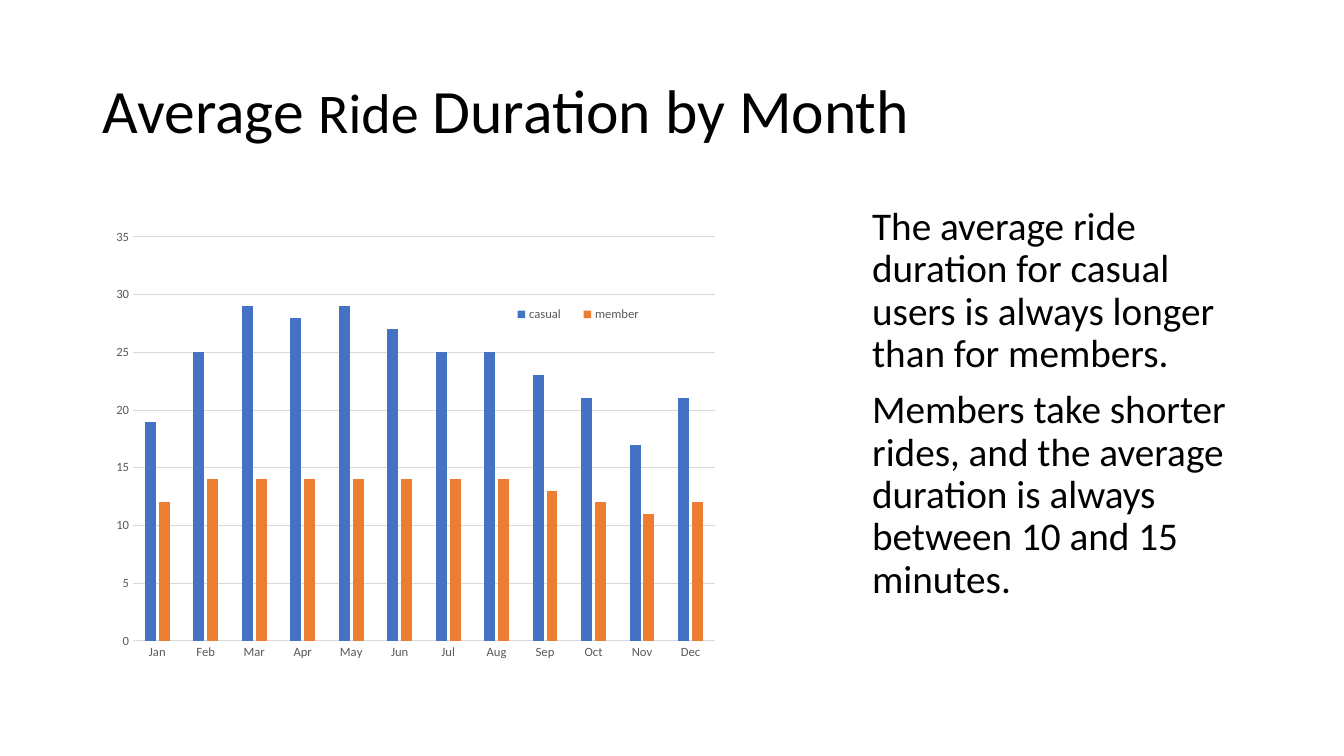
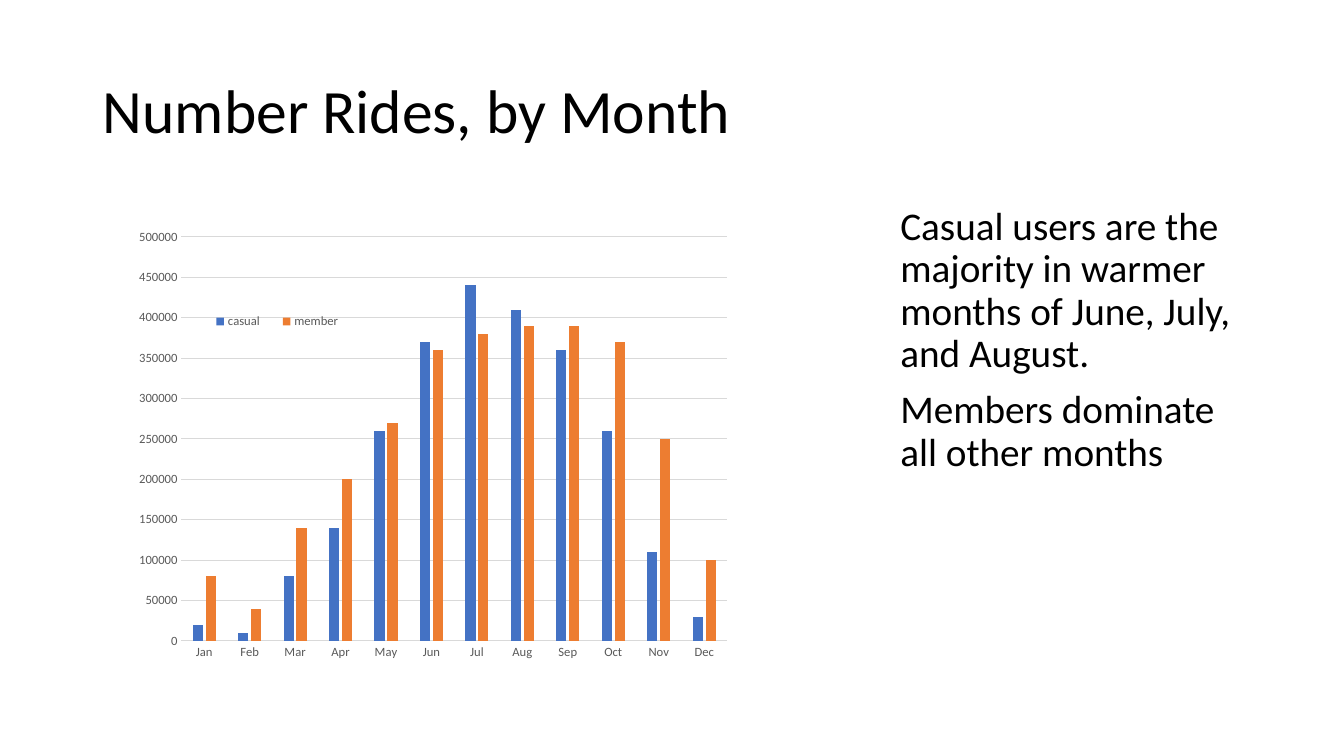
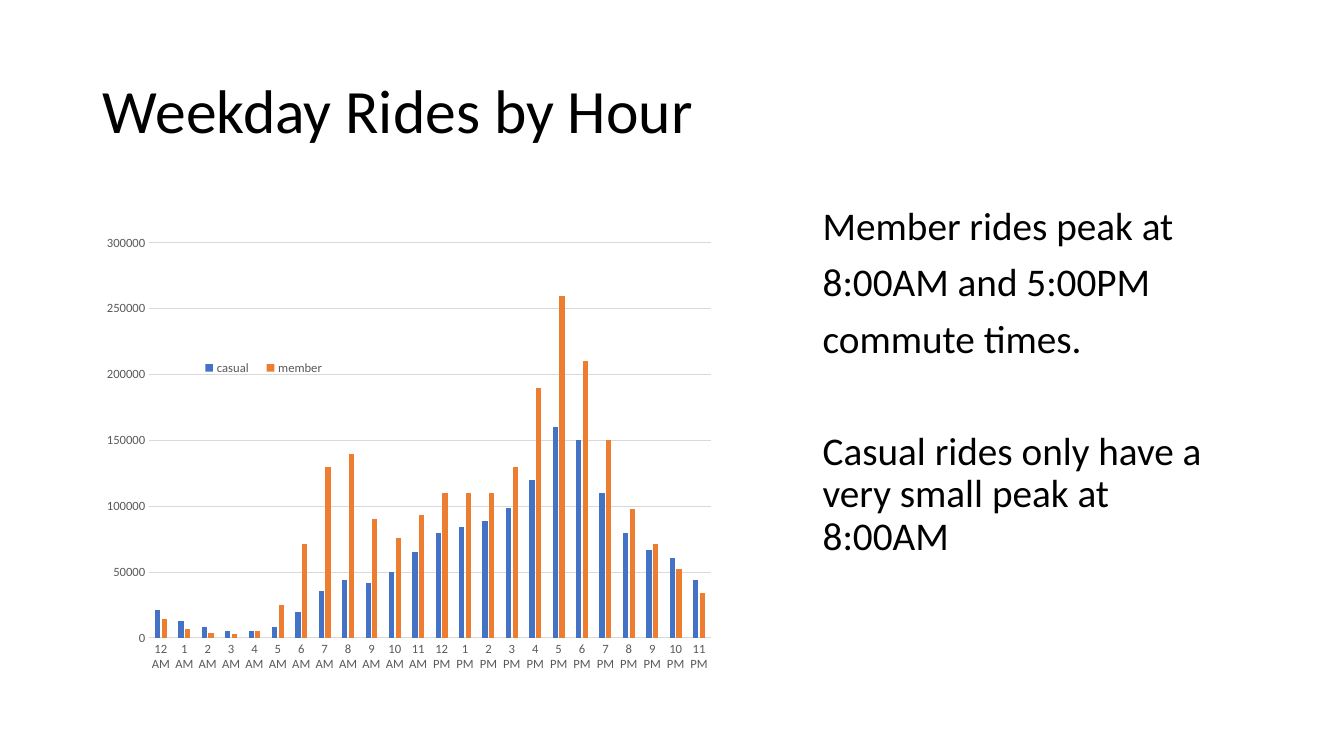
from lxml import etree
from pptx import Presentation
from pptx.chart.data import CategoryChartData
from pptx.dml.color import RGBColor
from pptx.enum.chart import XL_CHART_TYPE, XL_LEGEND_POSITION, XL_TICK_MARK
from pptx.enum.text import MSO_ANCHOR, MSO_AUTO_SIZE, PP_ALIGN
from pptx.oxml.ns import qn
from pptx.util import Inches, Pt

CLUSTERED = XL_CHART_TYPE.COLUMN_CLUSTERED
LEGEND_RIGHT = XL_LEGEND_POSITION.RIGHT
NO_TICK = XL_TICK_MARK.NONE
LEFT = PP_ALIGN.LEFT
MIDDLE = MSO_ANCHOR.MIDDLE
NO_AUTOFIT = MSO_AUTO_SIZE.NONE

THEME = {
    "font": "Calibri",
    "text": RGBColor.from_string("000000"),
    "label": RGBColor.from_string("595959"),
    "line": RGBColor.from_string("D9D9D9"),
    "series": [RGBColor.from_string(code) for code in ("4472C4", "ED7D31")],
    "title_size": 44,
    "title_small_size": 40,
    "body_size": 28,
    "chart_size": 10,
    "label_size": 9,
    "line_width": 0.75,
    "paragraph_gap": 10,
    "section_gap": 50,
}

SLIDE_WIDTH, SLIDE_HEIGHT = 13.33, 7.5
MARGIN = 0.92
CONTENT_RIGHT = SLIDE_WIDTH - MARGIN
CONTENT_TOP, CONTENT_BOTTOM = 2, 6.76
TITLE_TOP, TITLE_HEIGHT = 0.4, 1.45

MONTHS = ["Jan", "Feb", "Mar", "Apr", "May", "Jun",
          "Jul", "Aug", "Sep", "Oct", "Nov", "Dec"]
HOURS = [f"{hour} {half}" for half in ("AM", "PM") for hour in (12, *range(1, 12))]

SLIDES = [
    {
        "title": [("Average ", "title_size"), ("Ride", "title_small_size"),
                  (" Duration by Month", "title_size")],
        "body": ["The average ride duration for casual users is always longer than for members.",
                 "Members take shorter rides, and the average duration is always between 10 and 15 minutes."],
        "body_left": 8.55,
        "chart_box": (MARGIN, CONTENT_TOP, 7.64),
        "plot": (0.4, 0.35, 5.77, 4.01),
        "legend": (4.03, 1, 1.57, 0.24),
        "scale": (35, 5),
        "categories": MONTHS,
        "values": {
            "casual": [19, 25, 29, 28, 29, 27, 25, 25, 23, 21, 17, 21],
            "member": [12, 14, 14, 14, 14, 14, 14, 14, 13, 12, 11, 12],
        },
    },
    {
        "title": [("Number Rides, by Month", "title_size")],
        "body": ["Casual users are the majority in warmer months of June, July, and August.",
                 "Members dominate all other months"],
        "body_left": 8.83,
        "chart_box": (1.01, CONTENT_TOP, 7.67),
        "plot": (0.79, 0.35, 5.41, 4.01),
        "legend": (0.95, 1.07, 1.58, 0.24),
        "scale": (500000, 50000),
        "categories": MONTHS,
        "values": {
            "casual": [20000, 10000, 80000, 140000, 260000, 370000,
                       440000, 410000, 360000, 260000, 110000, 30000],
            "member": [80000, 40000, 140000, 200000, 270000, 360000,
                       380000, 390000, 390000, 370000, 250000, 100000],
        },
    },
    {
        "title": [("Weekday Rides by Hour", "title_size")],
        "body": ["Member rides peak at", "8:00AM and 5:00PM", "commute times.",
                 "Casual rides only have a very small peak at 8:00AM"],
        "section_starts": [3],
        "body_left": 8.06,
        "chart_box": (MARGIN, 2.25, 6.99),
        "plot": (0.56, 0.16, 5.57, 3.92),
        "legend": (0.98, 1.28, 1.43, 0.24),
        "scale": (300000, 50000),
        "categories": HOURS,
        "values": {
            "casual": [21000, 13000, 8000, 5000, 5000, 8000, 20000, 36000,
                       44000, 42000, 50000, 65000, 80000, 84000, 89000, 99000,
                       120000, 160000, 150000, 110000, 80000, 67000, 61000, 44000],
            "member": [14000, 7000, 4000, 3000, 5000, 25000, 71000, 130000,
                       140000, 90000, 76000, 93000, 110000, 110000, 110000, 130000,
                       190000, 260000, 210000, 150000, 98000, 71000, 52000, 34000],
        },
    },
]


def apply(target, **values):
    for name, value in values.items():
        setattr(target, name, value)


def place(shape, left, top, width, height):
    apply(shape, left=Inches(left), top=Inches(top),
          width=Inches(width), height=Inches(height))


def style_font(font, size, color):
    apply(font, name=THEME["font"], size=Pt(THEME[size]), bold=False)
    font.color.rgb = THEME[color]


def style_line(line):
    line.width = Pt(THEME["line_width"])
    line.color.rgb = THEME["line"]


def fill_title(title, runs):
    place(title, MARGIN, TITLE_TOP, CONTENT_RIGHT - MARGIN, TITLE_HEIGHT)
    apply(title.text_frame, vertical_anchor=MIDDLE, auto_size=NO_AUTOFIT)
    paragraph = title.text_frame.paragraphs[0]
    apply(paragraph, alignment=LEFT, line_spacing=0.9)
    for text, size in runs:
        run = paragraph.add_run()
        run.text = text
        style_font(run.font, size, "text")


def fill_body(body, left, texts, section_starts):
    place(body, left, CONTENT_TOP, CONTENT_RIGHT - left, CONTENT_BOTTOM - CONTENT_TOP)
    frame = body.text_frame
    frame.text = "\n".join(texts)
    frame.auto_size = NO_AUTOFIT
    for index, paragraph in enumerate(frame.paragraphs):
        gap = THEME["section_gap" if index in section_starts else "paragraph_gap"]
        apply(paragraph, alignment=LEFT, line_spacing=0.9, space_before=Pt(gap))
        style_font(paragraph.runs[0].font, "body_size", "text")
        properties = paragraph._p.get_or_add_pPr()
        properties.set("marL", "0")
        properties.set("indent", "0")
        etree.SubElement(properties, qn("a:buNone"))


def set_layout(parent, index, box, chart_size, inner=False):
    for old in parent.findall(qn("c:layout")):
        parent.remove(old)
    layout = etree.Element(qn("c:layout"))
    manual = etree.SubElement(layout, qn("c:manualLayout"))
    shares = [length / total for length, total in zip(box, chart_size * 2)]
    settings = [("layoutTarget", "inner")] if inner else []
    settings += [("xMode", "edge"), ("yMode", "edge"), *zip("xywh", shares)]
    for name, value in settings:
        etree.SubElement(manual, qn(f"c:{name}")).set("val", str(value))
    parent.insert(index, layout)


def add_rides_chart(slide, content):
    data = CategoryChartData()
    data.categories = content["categories"]
    for name, values in content["values"].items():
        data.add_series(name, values)
    left, top, width = content["chart_box"]
    chart_size = (width, CONTENT_BOTTOM - top)
    box = [Inches(length) for length in (left, top, *chart_size)]
    chart = slide.shapes.add_chart(CLUSTERED, *box, data).chart
    apply(chart, has_title=False, has_legend=True)
    style_font(chart.font, "chart_size", "text")

    plot = chart.plots[0]
    apply(plot, gap_width=219, overlap=-27, vary_by_categories=False)
    for series, color in zip(plot.series, THEME["series"]):
        series.format.fill.solid()
        series.format.fill.fore_color.rgb = color

    for axis in (chart.category_axis, chart.value_axis):
        apply(axis, major_tick_mark=NO_TICK, minor_tick_mark=NO_TICK)
        style_font(axis.tick_labels.font, "label_size", "label")
    style_line(chart.category_axis.format.line)
    maximum, step = content["scale"]
    apply(chart.value_axis, minimum_scale=0, maximum_scale=maximum, major_unit=step)
    chart.value_axis.format.line.fill.background()
    style_line(chart.value_axis.major_gridlines.format.line)

    apply(chart.legend, position=LEGEND_RIGHT, include_in_layout=False)
    style_font(chart.legend.font, "label_size", "label")
    set_layout(chart.legend._element, 1, content["legend"], chart_size)
    set_layout(chart._chartSpace.chart.plotArea, 0, content["plot"], chart_size, inner=True)


def main():
    presentation = Presentation()
    apply(presentation, slide_width=Inches(SLIDE_WIDTH), slide_height=Inches(SLIDE_HEIGHT))
    for content in SLIDES:
        slide = presentation.slides.add_slide(presentation.slide_layouts[1])
        fill_title(slide.shapes.title, content["title"])
        fill_body(slide.placeholders[1], content["body_left"], content["body"],
                  content.get("section_starts", []))
        add_rides_chart(slide, content)
    presentation.save("out.pptx")


if __name__ == "__main__":
    main()
